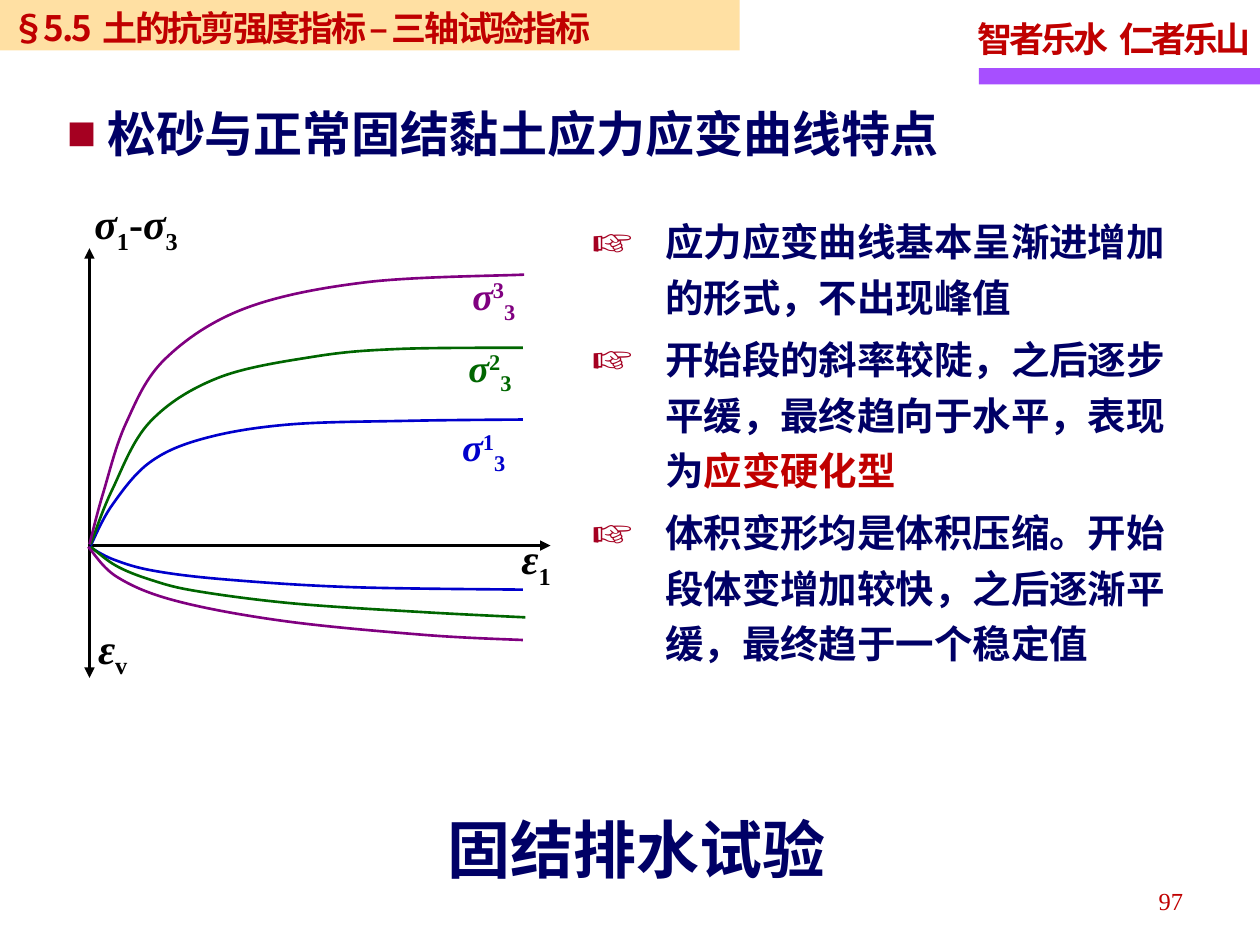
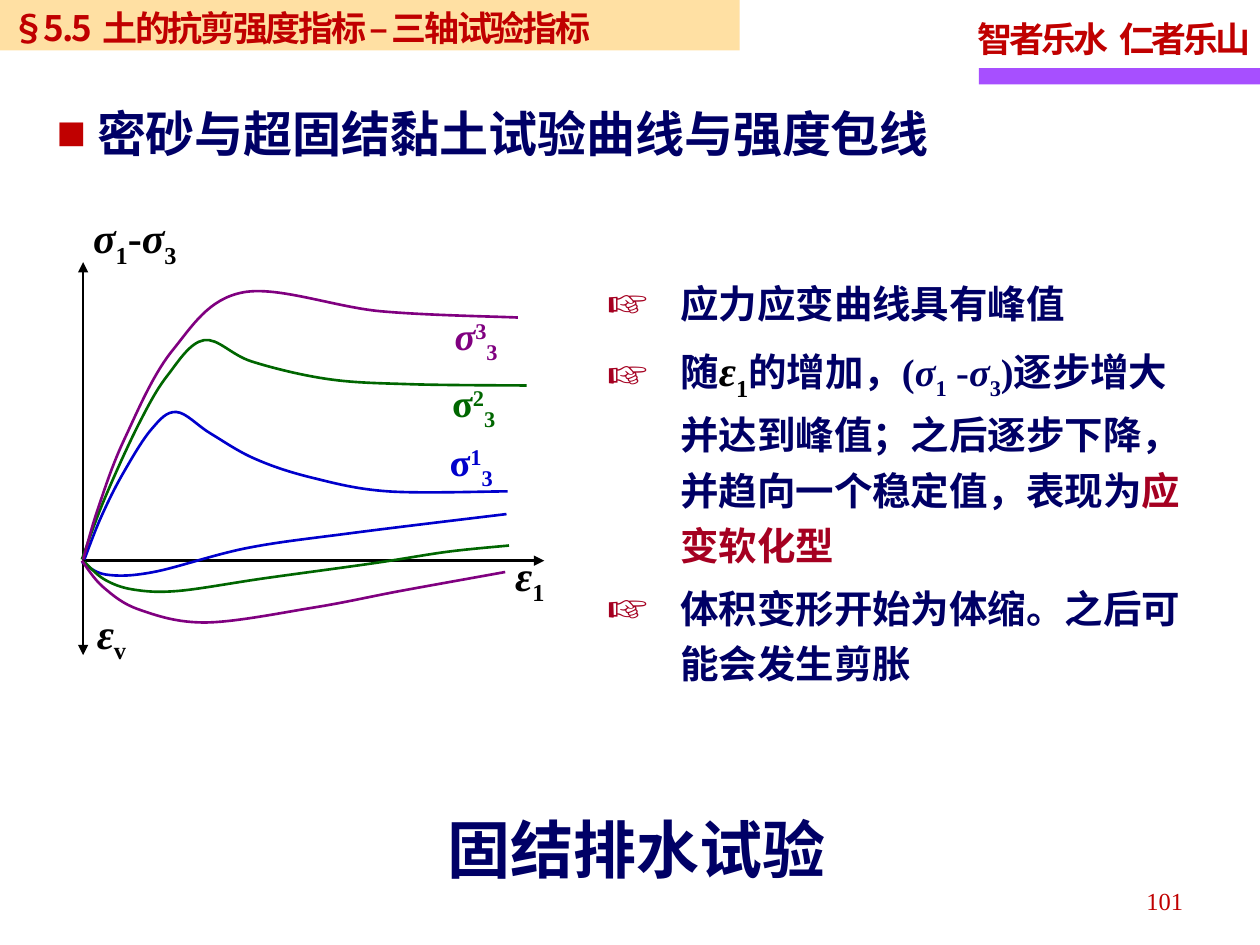
from dataclasses import dataclass
from typing import NamedTuple

from lxml.etree import SubElement
from pptx import Presentation
from pptx.dml.color import RGBColor
from pptx.enum.shapes import MSO_CONNECTOR, MSO_SHAPE
from pptx.enum.text import MSO_ANCHOR, MSO_AUTO_SIZE, PP_ALIGN
from pptx.oxml.ns import qn
from pptx.util import Emu, Pt

EMU_PER_PX = 9144  # 100 px to the inch


def px(length: float) -> Emu:
    return Emu(round(length * EMU_PER_PX))


@dataclass(frozen=True)
class Theme:
    navy: str = "000066"
    red: str = "C00000"
    crimson: str = "A50021"
    black: str = "000000"
    blue: str = "0000CC"
    green: str = "006600"
    purple: str = "800080"
    bar: str = "A74FFF"
    band: str = "FFCC66"
    latin: str = "Times New Roman"
    asian: str = "Noto Sans CJK SC"
    caption_size: int = 36
    title_size: int = 28
    axis_size: int = 24
    body_size: int = 22
    header_size: int = 20
    number_size: int = 14
    line_width: float = 1.5


THEME = Theme()


class Box(NamedTuple):
    left: int
    top: int
    width: int
    height: int


class Span(NamedTuple):
    """A stretch of text and what sets it apart from its paragraph."""
    text: str
    italic: bool = False
    baseline: int = 0
    color: str = ""
    size: int = 0
    spacing: int = 0


class Style(NamedTuple):
    size: int
    color: str
    font: str = THEME.latin
    bold: bool = True


class Point(NamedTuple):
    x: int
    y: int


class Series(NamedTuple):
    """One confining pressure: its two curves, as knots, and its label."""
    name: str
    color: str
    stress: list[tuple[int, int]]
    volume: list[tuple[int, int]]
    label: Point
    italic: bool = True


@dataclass(frozen=True)
class Plot:
    origin: Point
    axis_top: int
    axis_bottom: int
    axis_right: int
    stress_label: Point
    strain_label: Point
    volume_label: Point
    series: list[Series]


@dataclass(frozen=True)
class Page:
    number: str
    title: str
    title_box: Box
    square_color: str
    findings_box: Box
    findings: list[list[Span]]
    plot: Plot


def sub(text: str, **extra) -> Span:
    return Span(text, baseline=-25, **extra)


def sigma(index: str) -> list[Span]:
    return [Span("σ", italic=True), sub(index)]


# Text

def write(paragraph, spans: list[Span], style: Style) -> None:
    for span in spans:
        run = paragraph.add_run()
        run.text = span.text
        formats = {"size": Pt(span.size or style.size), "name": style.font,
                   "bold": style.bold, "italic": span.italic}
        for name, value in formats.items():
            setattr(run.font, name, value)
        run.font.color.rgb = RGBColor.from_string(span.color or style.color)
        properties = run._r.get_or_add_rPr()
        SubElement(properties, qn("a:ea"), typeface=THEME.asian)
        if span.baseline:
            properties.set("baseline", str(span.baseline * 1000))
        if span.spacing:
            properties.set("spc", str(span.spacing))


def add_bullet(paragraph, mark: str, color: str, indent: int, percent: int = 100) -> None:
    properties = paragraph._p.get_or_add_pPr()
    properties.set("marL", str(px(indent)))
    properties.set("indent", str(-px(indent)))
    SubElement(SubElement(properties, qn("a:buClr")), qn("a:srgbClr"), val=color)
    SubElement(properties, qn("a:buSzPct"), val=str(percent * 1000))
    SubElement(properties, qn("a:buFont"), typeface=THEME.latin)
    SubElement(properties, qn("a:buChar"), char=mark)


def set_frame(frame, **changes) -> None:
    formats = {"word_wrap": True, "auto_size": MSO_AUTO_SIZE.NONE,
               "vertical_anchor": MSO_ANCHOR.TOP} | changes
    for name, value in formats.items():
        setattr(frame, name, value)


NO_MARGINS = dict.fromkeys(("margin_left", "margin_top", "margin_right", "margin_bottom"), 0)


def add_text(shapes, box: Box, spans: list[Span], style: Style, **changes):
    frame = shapes.add_textbox(*map(px, box)).text_frame
    set_frame(frame, **changes)
    write(frame.paragraphs[0], spans, style)
    return frame.paragraphs[0]


def add_label(shapes, corner: Point, width: int, spans: list[Span], style: Style) -> None:
    height = 51 if style.size == THEME.axis_size else 47
    add_text(shapes, Box(*corner, width, height), spans, style,
             word_wrap=False, auto_size=MSO_AUTO_SIZE.SHAPE_TO_FIT_TEXT)


# Shapes

def add_rectangle(slide, box: Box, color: str):
    shape = slide.shapes.add_shape(MSO_SHAPE.RECTANGLE, *map(px, box))
    shape.shadow.inherit = False
    shape.fill.solid()
    shape.fill.fore_color.rgb = RGBColor.from_string(color)
    shape.line.fill.background()
    return shape


def add_axis(shapes, start: Point, end: Point, ends: tuple[str, ...]) -> None:
    axis = shapes.add_connector(MSO_CONNECTOR.STRAIGHT, *map(px, start + end))
    axis.line.color.rgb = RGBColor.from_string(THEME.black)
    axis.line.width = Pt(THEME.line_width)
    for name in ends:
        SubElement(axis.line._get_or_add_ln(), qn(name), type="triangle")
    SubElement(axis._element.spPr, qn("a:effectLst"))


def add_curve(shapes, knots: list[tuple[int, int]], color: str) -> None:
    points = [(px(x), px(y)) for x, y in knots]
    builder = shapes.build_freeform(*points[0], scale=1.0)
    builder.add_line_segments(points[1:], close=False)
    shape = builder.convert_to_shape()
    shape.shadow.inherit = False
    shape.fill.background()
    shape.line.color.rgb = RGBColor.from_string(color)
    shape.line.width = Pt(THEME.line_width)
    # Turn each segment into a cubic whose tangents follow the neighbouring knots
    padded = [points[0], *points, points[-1]]
    segments = list(shape._element.iter(qn("a:lnTo")))
    for segment, before, start, end, after in zip(
            segments, padded, padded[1:], padded[2:], padded[3:]):
        controls = [[start[i] + (end[i] - before[i]) / 6 for i in (0, 1)],
                    [end[i] - (after[i] - start[i]) / 6 for i in (0, 1)], end]
        segment.tag = qn("a:cubicBezTo")
        segment.clear()
        for x, y in controls:
            SubElement(segment, qn("a:pt"), x=str(round(x - shape.left)),
                       y=str(round(y - shape.top)))


# Slide parts

def draw_header(slide) -> None:
    add_rectangle(slide, Box(777, 54, 223, 13), THEME.bar)
    style = Style(THEME.header_size, THEME.red)
    motto = [Span("智者乐水", spacing=-170), Span(" ", spacing=160), Span("仁者乐山", spacing=-170)]
    add_text(slide.shapes, Box(766, 9, 236, 49), motto, style, word_wrap=False)
    band = add_rectangle(slide, Box(-1, 0, 588, 40), THEME.band)
    color = band.fill._xPr.find(qn("a:solidFill")).find(qn("a:srgbClr"))
    SubElement(color, qn("a:alpha"), val="60000")
    set_frame(band.text_frame)
    band.text_frame.paragraphs[0].alignment = PP_ALIGN.LEFT
    section = [Span("§5.5", spacing=-140), Span(" ", spacing=170),
               Span("土的抗剪强度指标 – 三轴试验指标", spacing=-140)]
    write(band.text_frame.paragraphs[0], section, style._replace(font=THEME.asian))


def draw_footer(slide, number: str) -> None:
    add_text(slide.shapes, Box(355, 643, 372, 60), [Span("固结排水试验")],
             Style(THEME.caption_size, THEME.navy, THEME.asian),
             vertical_anchor=MSO_ANCHOR.MIDDLE, **NO_MARGINS)
    paragraph = add_text(slide.shapes, Box(716, 698, 233, 40), [Span(number)],
                         Style(THEME.number_size, THEME.red, bold=False))
    paragraph.alignment = PP_ALIGN.RIGHT


def draw_title(slide, page: Page) -> None:
    title = slide.shapes.title
    for name, value in zip(("left", "top", "width", "height"), page.title_box):
        setattr(title, name, px(value))
    set_frame(title.text_frame, vertical_anchor=MSO_ANCHOR.MIDDLE, **NO_MARGINS)
    paragraph = title.text_frame.paragraphs[0]
    paragraph.alignment = PP_ALIGN.LEFT
    add_bullet(paragraph, "■", page.square_color, indent=32)
    write(paragraph, [Span(page.title)], Style(THEME.title_size, THEME.navy, THEME.asian))


def draw_plot(slide, plot: Plot) -> None:
    shapes = slide.shapes.add_group_shape().shapes
    x, y = plot.origin
    add_axis(shapes, Point(x, plot.axis_top), Point(x, plot.axis_bottom),
             ("a:headEnd", "a:tailEnd"))
    add_axis(shapes, plot.origin, Point(plot.axis_right, y), ("a:tailEnd",))
    style = Style(THEME.axis_size, THEME.black)
    epsilon = Span("ε", italic=True)
    add_label(shapes, plot.stress_label, 94, [*sigma("1"), Span("-"), *sigma("3")], style)
    add_label(shapes, plot.strain_label, 46, [epsilon, sub("1")], style)
    add_label(shapes, plot.volume_label, 46, [epsilon, sub("v")], style)
    for series in plot.series:
        add_curve(shapes, series.stress, series.color)
        add_curve(shapes, series.volume, series.color)
        spans = [Span("σ", italic=series.italic), Span(series.name, baseline=30), sub("3")]
        add_label(shapes, series.label, 60, spans, Style(THEME.body_size, series.color))


def draw_findings(slide, page: Page) -> None:
    frame = slide.shapes.add_textbox(*map(px, page.findings_box)).text_frame
    set_frame(frame, **NO_MARGINS)
    for index, spans in enumerate(page.findings):
        paragraph = frame.add_paragraph() if index else frame.paragraphs[0]
        paragraph.line_spacing = 1.2
        paragraph.space_after = Pt(4)
        add_bullet(paragraph, "☞", THEME.crimson, indent=58, percent=130)
        write(paragraph, spans, Style(THEME.body_size, THEME.navy))


# Content

LOOSE = Page(
    "97", "松砂与正常固结黏土应力应变曲线特点", Box(53, 82, 740, 47), THEME.crimson,
    Box(470, 166, 476, 370),
    [[Span("应力应变曲线基本呈渐进增加的形式，不出现峰值")],
     [Span("开始段的斜率较陡，之后逐步平缓，最终趋向于水平，表现为"),
      Span("应变硬化型", color=THEME.red)],
     [Span("体积变形均是体积压缩。开始段体变增加较快，之后逐渐平缓，最终趋于一个稳定值")]],
    Plot(Point(71, 433), 197, 538, 437, Point(65, 152), Point(404, 418), Point(68, 489), [
        Series("1", THEME.blue,
               [(72, 433), (89, 401), (119, 367), (162, 348), (229, 337), (326, 334), (415, 333)],
               [(71, 434), (90, 444), (122, 453), (180, 460), (279, 466), (415, 468)],
               Point(357, 331)),
        Series("2", THEME.green,
               [(72, 432), (89, 389), (119, 335), (173, 300), (250, 283), (317, 277), (415, 276)],
               [(72, 434), (92, 449), (119, 460), (155, 469), (233, 479), (338, 486), (417, 490)],
               Point(362, 268)),
        Series("3", THEME.purple,
               [(71, 432), (82, 391), (100, 336), (131, 285), (194, 245), (291, 224), (416, 218)],
               [(70, 434), (93, 458), (140, 477), (226, 493), (338, 504), (415, 508)],
               Point(365, 211))]))

DENSE = Page(
    "101", "密砂与超固结黏土试验曲线与强度包线", Box(45, 82, 749, 47), THEME.red,
    Box(482, 215, 458, 330),
    [[Span("应力应变曲线具有峰值")],
     [Span("随"), Span("ε", italic=True, color=THEME.black, size=THEME.axis_size),
      sub("1", color=THEME.black, size=THEME.axis_size), Span("的增加，("),
      *sigma("1"), Span(" -"), *sigma("3"),
      Span(")逐步增大并达到峰值；之后逐步下降，并趋向一个稳定值，表现为"),
      Span("应变软化型", color=THEME.crimson)],
     [Span("体积变形开始为体缩。之后可能会发生剪胀")]],
    Plot(Point(66, 445), 208, 520, 432, Point(64, 163), Point(399, 431), Point(67, 477), [
        Series("1", THEME.blue,
               [(67, 444), (80, 411), (97, 377), (120, 341), (140, 327), (167, 344),
                (202, 364), (247, 379), (308, 390), (403, 390)],
               [(65, 446), (84, 456), (122, 454), (196, 435), (280, 423), (402, 408)],
               Point(347, 343), italic=False),
        Series("2", THEME.green,
               [(65, 444), (83, 396), (110, 337), (133, 298), (162, 270), (200, 287),
                (261, 301), (327, 305), (418, 306)],
               [(67, 446), (83, 460), (106, 468), (142, 469), (210, 459), (297, 447),
                (355, 438), (404, 433)],
               Point(349, 296), italic=False),
        Series("3", THEME.purple,
               [(66, 444), (78, 403), (99, 348), (137, 278), (193, 232), (302, 247), (411, 252)],
               [(65, 445), (82, 466), (111, 484), (164, 494), (250, 482), (318, 469), (401, 454)],
               Point(351, 243))]))


def main() -> None:
    presentation = Presentation()
    presentation.slide_width, presentation.slide_height = px(1000), px(750)
    for page in (LOOSE, DENSE):
        slide = presentation.slides.add_slide(presentation.slide_layouts[5])
        draw_header(slide)
        draw_footer(slide, page.number)
        draw_title(slide, page)
        draw_plot(slide, page.plot)
        draw_findings(slide, page)
    presentation.save("out.pptx")


if __name__ == "__main__":
    main()
